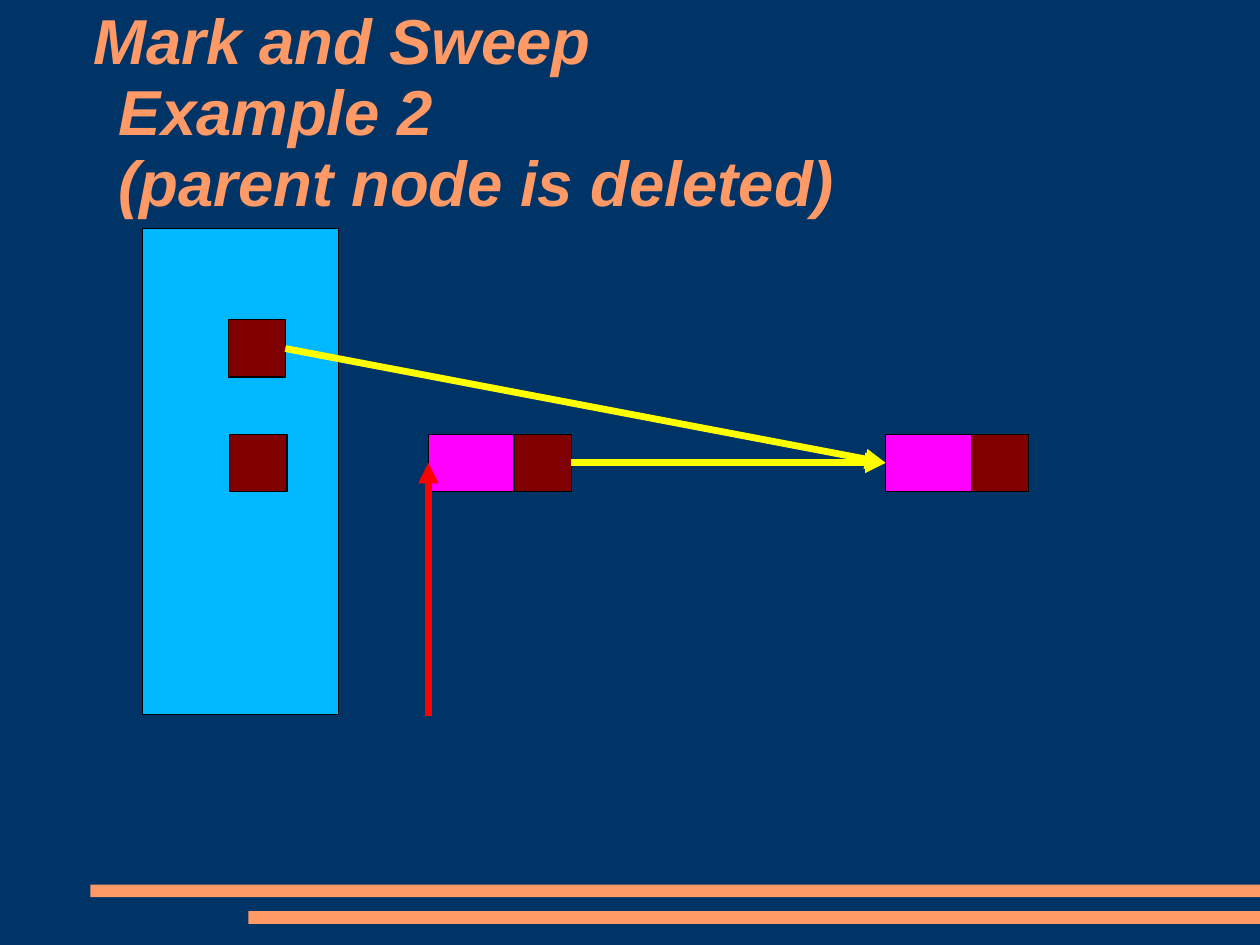
from lxml import etree
from pptx import Presentation
from pptx import util as u
from pptx.dml.color import RGBColor
from pptx.enum import shapes, text
from pptx.oxml.ns import qn

COLORS = {
    "background": "003366",
    "accent": "FF9966",
    "roots": "00B8FF",
    "pointer": "800000",
    "data": "FF00FF",
    "reference": "FFFF00",
    "deleted": "FF0000",
    "outline": "000000",
}
CELL = 1.27  # side of a pointer cell, in cm
NODE_WIDTH = 2.5 * CELL
LEFT, RIGHT = 1, 3  # connection sites of a rectangle


def color(name):
    return RGBColor.from_string(COLORS[name])


def write_text(frame, content, size, name, font="Arial", bold=False, italic=False,
               line_spacing=1.0, left=0, hanging=0):
    """Fill a text frame with one formatted, left-aligned paragraph."""
    frame.text = ""
    para = frame.paragraphs[0]
    properties = para._p.get_or_add_pPr()
    properties.set("marL", str(u.Cm(left)))
    properties.set("indent", str(-u.Cm(hanging)))
    para.alignment = text.PP_ALIGN.LEFT
    para.line_spacing = line_spacing
    para.space_before = u.Pt(0)
    for index, line in enumerate(content.split("\n")):
        if index:
            para.add_line_break()
        span = para.add_run()
        span.text = line
        span.font.name, span.font.size = font, u.Pt(size)
        span.font.bold, span.font.italic = bold, italic
        span.font.color.rgb = color(name)


def add_box(page, box, fill, outlined=True):
    shape = page.shapes.add_shape(shapes.MSO_SHAPE.RECTANGLE, *map(u.Cm, box))
    shape.shadow.inherit = False
    shape.fill.solid()
    shape.fill.fore_color.rgb = color(fill)
    if outlined:
        shape.line.color.rgb = color("outline")
        shape.line.width = u.Pt(0.75)
    else:
        shape.line.fill.background()
    return shape


def add_arrow(page, target, name, source=None, start=(0, 0)):
    """Point at the left side of target, from source's right side or a free start."""
    x, y = map(u.Cm, start)
    arrow = page.shapes.add_connector(shapes.MSO_CONNECTOR.STRAIGHT, x, y, x, y)
    if source is not None:
        arrow.begin_connect(source, RIGHT)
    arrow.end_connect(target, LEFT)
    arrow.line.color.rgb = color(name)
    arrow.line.width = u.Pt(4.31)
    etree.SubElement(arrow.line._get_or_add_ln(), qn("a:tailEnd"), type="triangle")
    etree.SubElement(arrow._element.spPr, qn("a:effectLst"))


def add_title(page, box):
    title = page.shapes.title
    title.left, title.top, title.width, title.height = map(u.Cm, box)
    frame = title.text_frame
    frame.margin_left = frame.margin_right = frame.margin_top = frame.margin_bottom = 0
    frame.word_wrap = True
    frame.auto_size = text.MSO_AUTO_SIZE.NONE
    frame.vertical_anchor = text.MSO_ANCHOR.MIDDLE
    write_text(frame, "Mark and Sweep\nExample 2\n(parent node is deleted)", 40, "accent",
               bold=True, italic=True, line_spacing=0.93, left=0.58, hanging=0.56)


def add_footer_bars(page, box):
    left, top, width, height = box
    for inset, drop in ((0, 0), (3.51, 0.59)):
        add_box(page, (left + inset, top + drop, width - inset, height), "accent",
                outlined=False)


def add_root_set(page, box):
    """Draw the root column and return its upper pointer cell."""
    left, top, _, _ = box
    add_box(page, box, "roots")
    upper = add_box(page, (left + 1.9, top + 2.03, CELL, CELL), "pointer")
    add_box(page, (left + 1.94, top + 4.57, CELL, CELL), "pointer")
    return upper


def add_node(page, box):
    """Draw a list node and return its body and its pointer cell."""
    left, top, width, height = box
    body = add_box(page, box, "data")
    pointer = add_box(page, (left + width - height, top, height, height), "pointer")
    return body, pointer


def add_heap(page, box):
    """Draw the roots, two nodes and the references between them."""
    left, top, _, height = box
    root = add_root_set(page, (left, top, 4.36, height))
    node_top = top + 4.57
    (parent, parent_pointer), (child, _) = [
        add_node(page, (left + offset, node_top, NODE_WIDTH, CELL))
        for offset in (5 * CELL, 13 * CELL)
    ]
    add_arrow(page, child, "reference", source=root)
    add_arrow(page, parent, "deleted", start=(left + 5 * CELL, top + height + 0.04))
    add_arrow(page, child, "reference", source=parent_pointer)


def main():
    deck = Presentation()
    deck.slide_width, deck.slide_height = u.Cm(28), u.Cm(21)
    page = deck.slides.add_slide(deck.slide_layouts.get_by_name("Title Only"))
    page.background.fill.solid()
    page.background.fill.fore_color.rgb = color("background")
    add_footer_bars(page, (2.01, 19.66, 25.99, 0.28))
    add_title(page, (2.06, 0.18, 23.9, 4.72))
    add_heap(page, (3.17, 5.08, 19.69, 10.8))
    deck.save("out.pptx")


if __name__ == "__main__":
    main()
